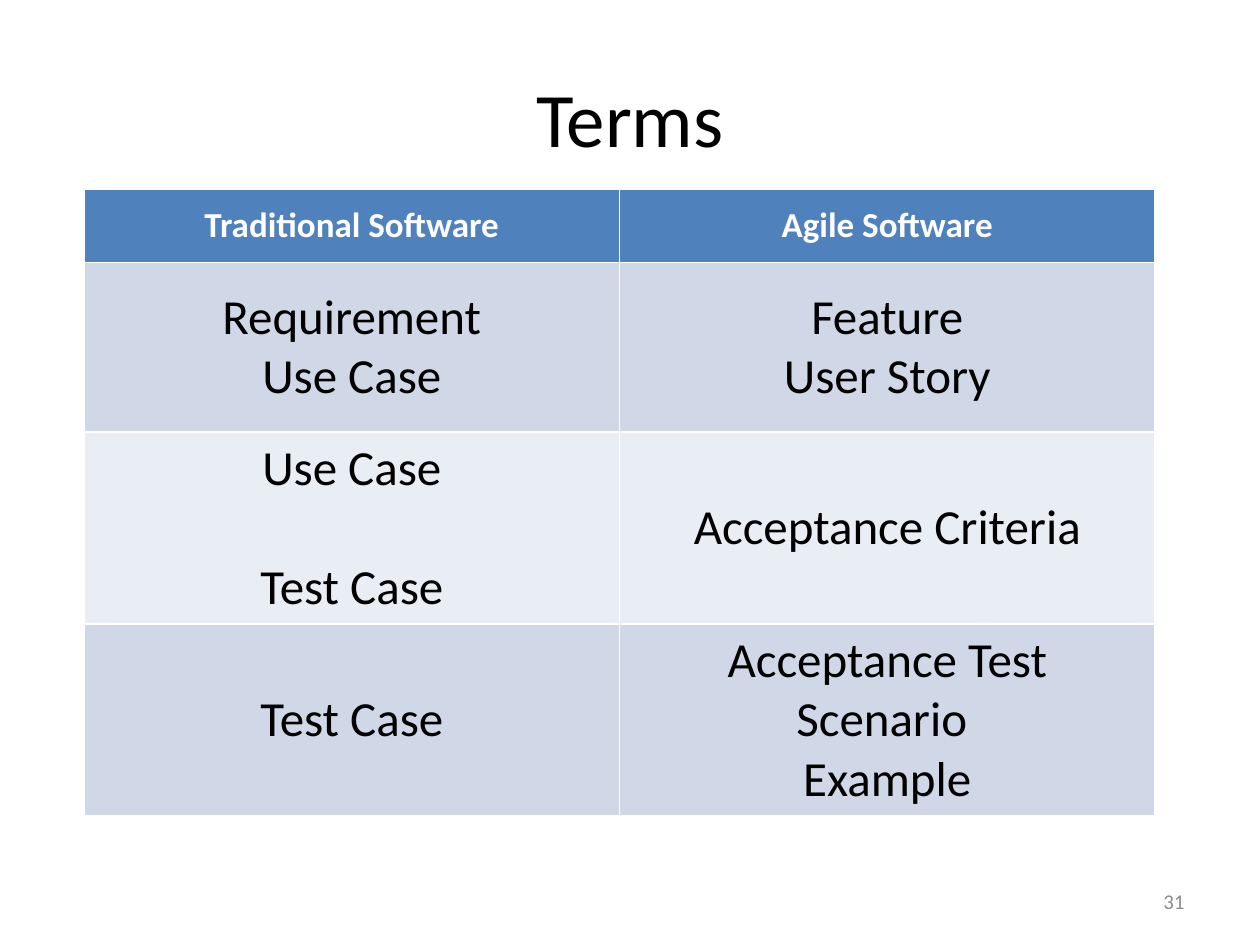
"""Build a slide that compares traditional and agile software terms."""
import pptx
import pptx.dml.color
import pptx.enum.text
import pptx.util

Pt = pptx.util.Pt
RGBColor = pptx.dml.color.RGBColor
ALIGN = pptx.enum.text.PP_ALIGN
MIDDLE = pptx.enum.text.MSO_ANCHOR.MIDDLE

BLACK = RGBColor(0x00, 0x00, 0x00)
WHITE = RGBColor(0xFF, 0xFF, 0xFF)
GRAY = RGBColor(0x8C, 0x8C, 0x8C)
HEADER = RGBColor(0x4F, 0x81, 0xBD)
BANDS = [RGBColor(0xE9, 0xED, 0xF4), RGBColor(0xD0, 0xD8, 0xE8)]

ROWS = [
    (42, ["Traditional Software"], ["Agile Software"]),
    (97, ["Requirement", "Use Case"], ["Feature", "User Story"]),
    (109.7, ["Use Case", "Test Case"], ["Acceptance Criteria"]),
    (109.7, ["Test Case"], ["Acceptance Test", "Scenario ", "Example"]),
]
COLUMN_WIDTH = 306


def write(tf, lines, size, color, align, bold=False):
    tf.text = "\n".join(lines)
    for p in tf.paragraphs:
        p.alignment = align
        p.font.name = "Calibri"
        p.font.size = Pt(size)
        p.font.bold = bold
        p.font.color.rgb = color


def add_text(s, box, text, size, color, align):
    tf = s.shapes.add_textbox(*map(Pt, box)).text_frame
    tf.word_wrap = True
    tf.vertical_anchor = MIDDLE
    write(tf, [text], size, color, align)


prs = pptx.Presentation()
prs.slide_width = Pt(720)
prs.slide_height = Pt(540)
s = prs.slides.add_slide(prs.slide_layouts[6])

add_text(s, (36, 21.6, 648, 90), "Terms", 44, BLACK, ALIGN.CENTER)
add_text(s, (516, 500.5, 168, 28.75), "31", 12, GRAY, ALIGN.RIGHT)

table = s.shapes.add_table(
    len(ROWS), 2, Pt(48), Pt(108), Pt(2 * COLUMN_WIDTH), Pt(sum(row[0] for row in ROWS))
).table
for column in table.columns:
    column.width = Pt(COLUMN_WIDTH)

for i, (height, *cells) in enumerate(ROWS):
    table.rows[i].height = Pt(height)
    for j, lines in enumerate(cells):
        cell = table.cell(i, j)
        cell.vertical_anchor = MIDDLE
        cell.fill.solid()
        cell.fill.fore_color.rgb = BANDS[i % 2] if i else HEADER
        size, color = (28, BLACK) if i else (20, WHITE)
        write(cell.text_frame, lines, size, color, ALIGN.CENTER, bold=i == 0)

table.cell(2, 0).text_frame.paragraphs[0].space_after = Pt(34)

prs.save("out.pptx")
